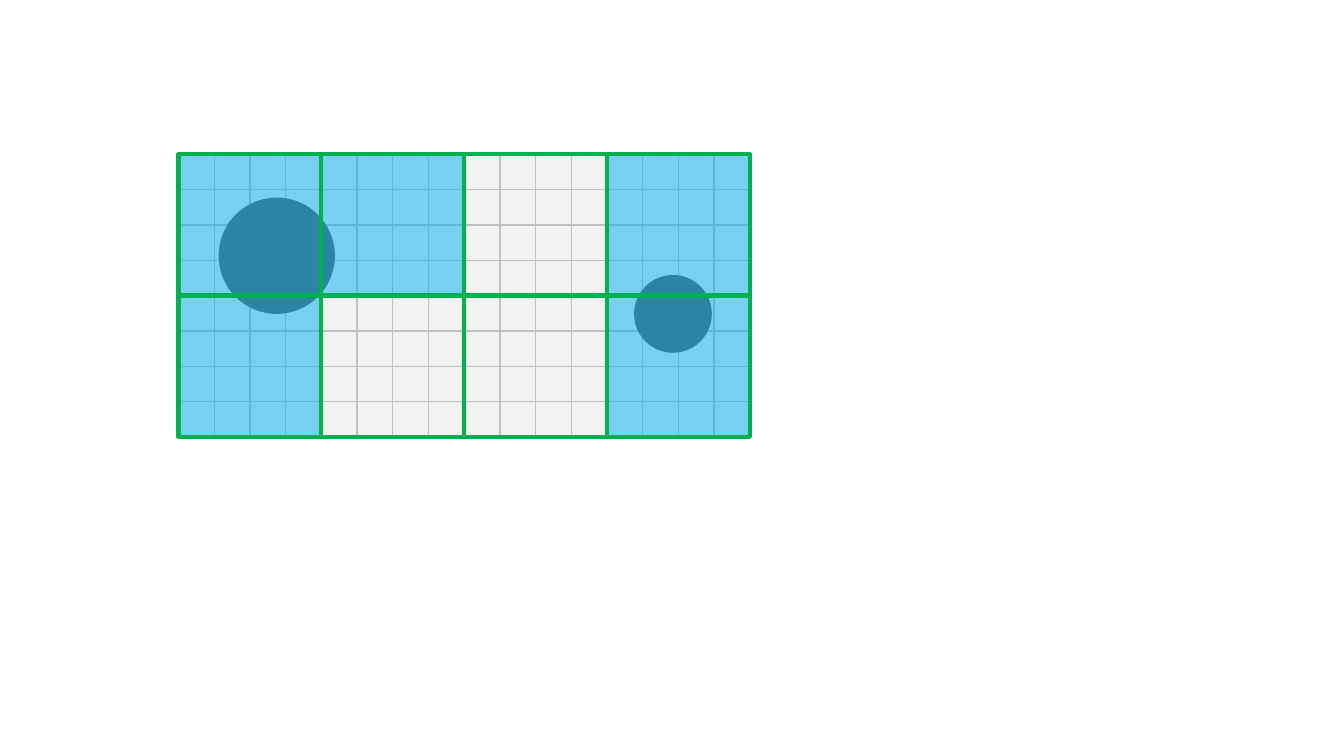
from dataclasses import dataclass
from itertools import product
from typing import Optional

from lxml import etree
from pptx import Presentation
from pptx import util as u
from pptx.dml.color import RGBColor
from pptx.enum import shapes
from pptx.oxml import ns
from pptx.slide import Slide

LEFT, TOP = 4.5, 3.89
CELL_W, CELL_H = 0.9, 0.89
COLS, ROWS = 16, 8
SPAN = 4  # cells along each side of a block


@dataclass
class Style:
    fill: Optional[str] = None
    alpha: int = 100
    line: Optional[str] = None
    width: float = 1


@dataclass
class Disc:
    x: float
    y: float
    size: float


GRID = Style(fill="F2F2F2", line="BFBFBF")
OPEN = Style(line="00B050", width=3)
HIT = Style(fill="00B0F0", alpha=50, line="00B050", width=3)
DARK = Style(fill="595959")

FREE = [(1, 1), (2, 0), (2, 1)]
FULL = [(0, 0), (0, 1), (3, 1), (3, 0), (1, 0)]
DISCS = [Disc(5.51, 4.98, 2.93), Disc(15.98, 6.93, 1.96)]

RECT = shapes.MSO_SHAPE.RECTANGLE
OVAL = shapes.MSO_SHAPE.OVAL


def color(code: str) -> RGBColor:
    return RGBColor.from_string(code)


def draw(slide: Slide, kind: shapes.MSO_SHAPE, x: float, y: float,
         w: float, h: float, style: Style) -> None:
    """Add one shape, with its place and size in centimetres."""
    shape = slide.shapes.add_shape(kind, u.Cm(x), u.Cm(y), u.Cm(w), u.Cm(h))
    shape.shadow.inherit = False
    if style.fill:
        shape.fill.solid()
        shape.fill.fore_color.rgb = color(style.fill)
        if style.alpha < 100:
            tone = shape.element.spPr.find(ns.qn("a:solidFill"))[0]
            etree.SubElement(tone, ns.qn("a:alpha"), val=str(style.alpha * 1000))
    else:
        shape.fill.background()
    if style.line:
        shape.line.color.rgb = color(style.line)
        shape.line.width = u.Pt(style.width)
    else:
        shape.line.fill.background()


def tile(slide: Slide, col: int, row: int, span: int, style: Style) -> None:
    """Draw a tile of span by span cells, counted in tiles of that size."""
    w, h = span * CELL_W, span * CELL_H
    draw(slide, RECT, LEFT + col * w, TOP + row * h, w, h, style)


def main() -> None:
    deck = Presentation()
    deck.slide_width, deck.slide_height = u.Cm(33.87), u.Cm(19.05)
    slide = deck.slides.add_slide(deck.slide_layouts[6])

    for col, row in product(range(COLS), range(ROWS)):
        tile(slide, col, row, 1, GRID)
    for col, row in FREE:
        tile(slide, col, row, SPAN, OPEN)
    for disc in DISCS:
        draw(slide, OVAL, disc.x, disc.y, disc.size, disc.size, DARK)
    for col, row in FULL:
        tile(slide, col, row, SPAN, HIT)

    deck.save("out.pptx")


if __name__ == "__main__":
    main()
